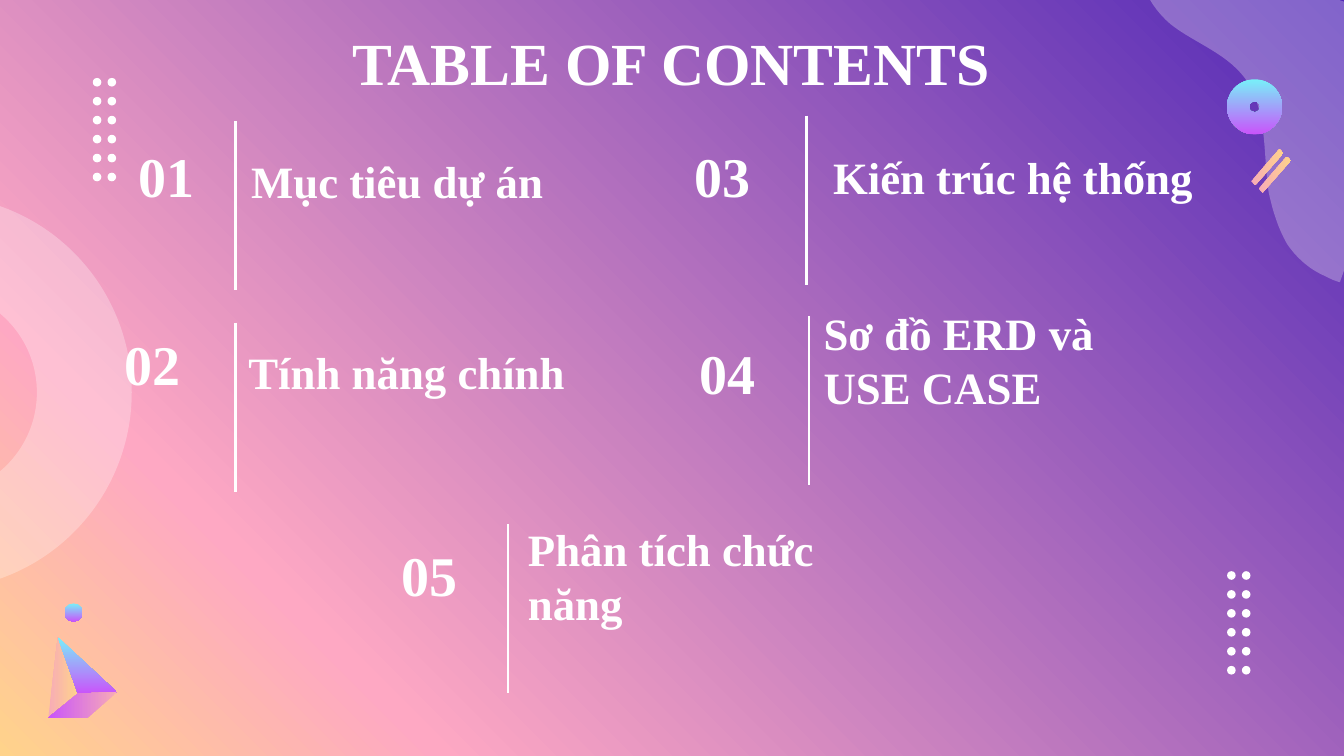
from copy import deepcopy
from dataclasses import dataclass

from lxml import etree
from pptx import Presentation
from pptx import util as u
from pptx.dml.color import RGBColor
from pptx.enum import shapes, text
from pptx.oxml.ns import qn

# The slide is a grid of square cells: 100 columns by 56.25 rows.
COLUMNS, ROWS = 100, 56.25
CELL = u.Inches(0.1)


@dataclass(frozen=True)
class Theme:
    font: str = "Times New Roman"
    title_size: int = 32
    number_size: int = 30
    topic_size: int = 24
    line_width: float = 1.5
    white: str = "FFFFFF"
    veil: int = 28  # opacity of the large pale shapes, in percent
    backdrop: tuple = ((0, "5229B7"), (79, "FEA8C3"), (100, "FFD38B"))
    neon: tuple = ((0, "78F0F9"), (100, "C954FA"))
    peach: tuple = ((0, "F7ABB7"), (100, "FFD38B"))
    orchid: tuple = ((0, "F7ABB7"), (100, "C954FA"))


THEME = Theme()

# number, its box (column, row), topic, its box (column, row, width), rule (column, row)
TOPICS = (
    ("01", (9.3, 10.1), "Mục tiêu dự án", (17.7, 10.4, 28.4), (17.5, 9)),
    ("02", (8.3, 24.1), "Tính năng chính", (17.5, 24.6, 25.6), (17.5, 24)),
    ("03", (50.7, 10.1), "Kiến trúc hệ thống", (61, 10.1, 29.3), (60, 8.6)),
    ("04", (51.1, 24.8), "Sơ đồ ERD và USE CASE", (60.3, 23.7, 29.3), (60.2, 23.5)),
    ("05", (28.9, 39.8), "Phân tích chức năng", (38.3, 39.8, 29.3), (37.8, 39)),
)

BLOB_START = (84.6, -5.2)
BLOB_CURVES = (
    ((84.1, -2.7), (85.1, 0.1), (87.1, 1.8)),
    ((89, 3.3), (91.5, 4), (92.9, 6.2)),
    ((94.3, 8.6), (94, 11.6), (94.4, 14.3)),
    ((94.7, 15.7), (95.1, 17), (95.8, 18.2)),
    ((96.5, 19.2), (97.4, 20), (98.5, 20.5)),
    ((98.9, 20.7), (99.3, 20.9), (99.7, 21)),
)
BLOB_CORNER = (106.3, 2.3)

# Corners of the folded paper plane
TAIL, TIP, FOLD, NOSE, KEEL = (3.6, 53.4), (4.3, 47.4), (5.8, 51.6), (8.7, 51.5), (6.5, 53.4)


def cells(*counts):
    return [u.Emu(round(count * CELL)) for count in counts]


def paint_solid(shape, color, opacity=100):
    shape.fill.solid()
    shape.fill.fore_color.rgb = RGBColor.from_string(color)
    if opacity < 100:
        tint = next(shape._element.iter(qn("a:srgbClr")))
        etree.SubElement(tint, qn("a:alpha"), val=str(opacity * 1000))


def paint_gradient(fill, element, stops, clockwise):
    """Give the fill, held in element, any number of (percent, colour) stops."""
    fill.gradient()
    fill.gradient_angle = (360 - clockwise) % 360
    stop_list = next(element.iter(qn("a:gsLst")))
    for old in list(stop_list):
        stop_list.remove(old)
    for percent, color in stops:
        stop = etree.SubElement(stop_list, qn("a:gs"), pos=str(percent * 1000))
        etree.SubElement(stop, qn("a:srgbClr"), val=color)


def make_plain(shape):
    shape.shadow.inherit = False
    shape.line.fill.background()
    return shape


def add_round(canvas, column, row, size, ring=None):
    """Add a circle, or a ring whose thickness is a share of its size."""
    kind = shapes.MSO_SHAPE.DONUT if ring else shapes.MSO_SHAPE.OVAL
    shape = canvas.shapes.add_shape(kind, *cells(column, row, size, size))
    if ring:
        shape.adjustments[0] = ring
    return make_plain(shape)


def add_polygon(canvas, points):
    start, *others = [cells(*point) for point in points]
    builder = canvas.shapes.build_freeform(*start)
    builder.add_line_segments(others, close=True)
    return make_plain(builder.convert_to_shape())


def curve_points(start, curves, steps=16):
    """Walk along joined cubic Bezier curves."""
    points = [start]
    for first, second, end in curves:
        origin = points[-1]
        for step in range(1, steps + 1):
            t = step / steps
            s = 1 - t
            points.append(tuple(
                s**3 * a + 3 * s * s * t * b + 3 * s * t * t * c + t**3 * d
                for a, b, c, d in zip(origin, first, second, end)))
    return points


def add_text(page, words, frame, size, align=text.PP_ALIGN.LEFT):
    box = page.shapes.add_textbox(*cells(*frame))
    body = box.text_frame
    body.word_wrap = True
    body.vertical_anchor = text.MSO_ANCHOR.MIDDLE
    body.margin_left = body.margin_right = body.margin_top = body.margin_bottom = CELL
    para = body.paragraphs[0]
    para.text = words
    para.alignment = align
    for span in para.runs:
        span.font.name = THEME.font
        span.font.size = u.Pt(size)
        span.font.bold = True
        span.font.color.rgb = RGBColor.from_string(THEME.white)


def add_rule(page, column, row, length=12.6):
    rule = page.shapes.add_connector(
        shapes.MSO_CONNECTOR.STRAIGHT, *cells(column, row, column, row + length))
    rule.line.color.rgb = RGBColor.from_string(THEME.white)
    rule.line.width = u.Pt(THEME.line_width)
    etree.SubElement(rule._element.spPr, qn("a:effectLst"))


def add_topic(page, number, number_at, topic, topic_at, rule_at):
    column, row, width = topic_at
    add_rule(page, *rule_at)
    add_text(page, number, (*number_at, 8.9, 5.8), THEME.number_size)
    add_text(page, topic, (column, row, width, 6.1), THEME.topic_size)


def add_dot_grid(page, column, row):
    group = page.shapes.add_group_shape()
    for across in range(2):
        for down in range(6):
            dot = add_round(group, column + across * 1.1, row + down * 1.41, 0.64)
            paint_solid(dot, THEME.white)


def add_veils(page):
    ring = add_round(page, -19.6, 14.5, 29.4, ring=0.24)
    blob = add_polygon(page, curve_points(BLOB_START, BLOB_CURVES) + [BLOB_CORNER])
    for shape in (ring, blob):
        paint_solid(shape, THEME.white, THEME.veil)


def add_ornaments(page):
    for shape in (add_round(page, 91.3, 5.9, 4.1, ring=0.4), add_round(page, 4.8, 44.9, 1.35)):
        paint_gradient(shape.fill, shape._element, THEME.neon, 90)

    for shift in (0, 0.55):
        corners = ((93.1, 13.5), (95.2, 11.1), (95.5, 11.4), (93.4, 13.8))
        stick = add_polygon(page, [(x + shift, y + shift) for x, y in corners])
        paint_gradient(stick.fill, stick._element, THEME.peach, 0)

    plane = page.shapes.add_group_shape()
    for corners, stops, angle in (
        ((TAIL, FOLD, TIP), THEME.peach, 0),
        ((TIP, FOLD, NOSE), THEME.neon, 90),
        ((NOSE, FOLD, TAIL, KEEL), THEME.orchid, 180),
    ):
        side = add_polygon(plane, corners)
        paint_gradient(side.fill, side._element, stops, angle)


def main():
    deck = Presentation()
    deck.slide_width, deck.slide_height = cells(COLUMNS, ROWS)
    page = deck.slides.add_slide(deck.slide_layouts[6])
    paint_gradient(page.background.fill, page._element, THEME.backdrop, 135)
    add_veils(page)
    add_text(page, "TABLE OF CONTENTS", (7.8, 1.9, 84.3, 5.3),
             THEME.title_size, text.PP_ALIGN.CENTER)
    for topic in TOPICS:
        add_topic(page, *topic)
    for corner in ((6.9, 5.8), (91.3, 42.5)):
        add_dot_grid(page, *corner)
    add_ornaments(page)
    deck.save("out.pptx")


if __name__ == "__main__":
    main()
